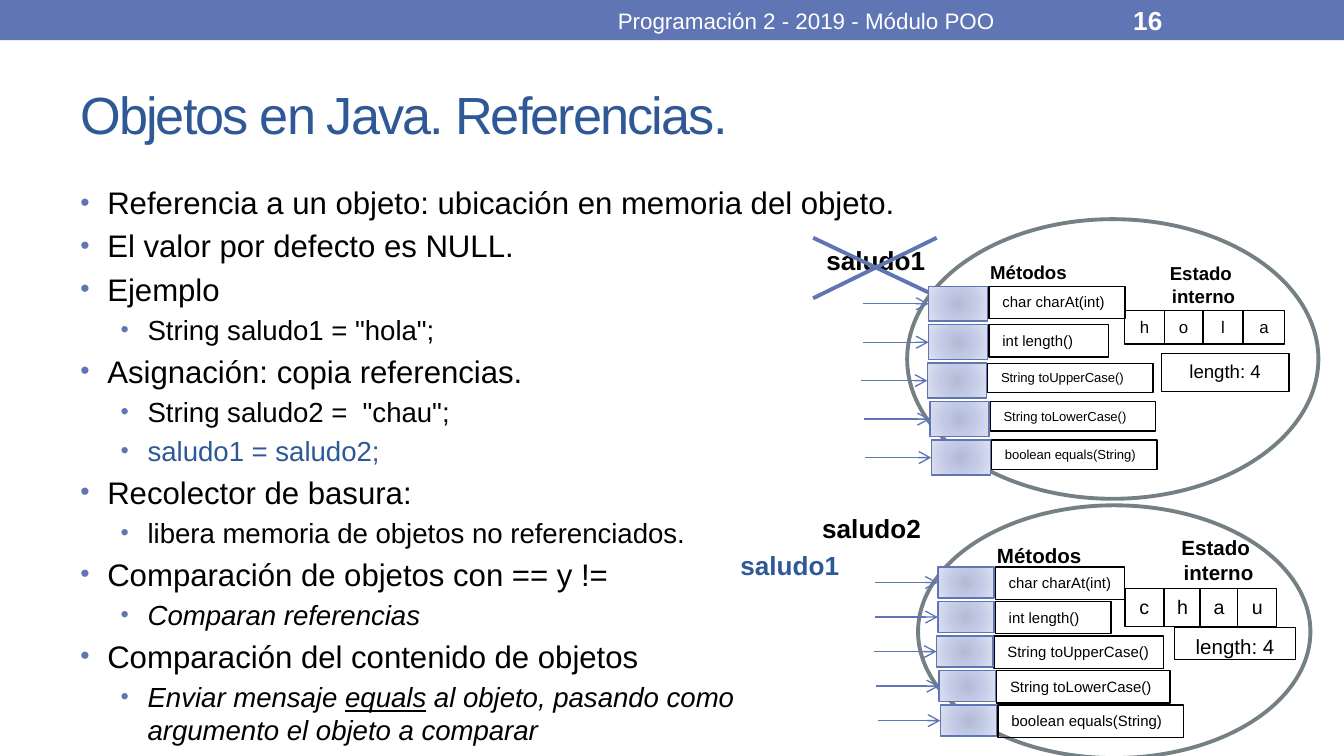
import pptx
import pptx.util
import pptx.dml.color
import pptx.enum.shapes
import pptx.enum.text
import pptx.oxml
import pptx.oxml.ns
import lxml.etree

Pt = pptx.util.Pt
RGB = pptx.dml.color.RGBColor.from_string
KIND = pptx.enum.shapes.MSO_SHAPE
ALIGN = pptx.enum.text.PP_ALIGN
ANCHOR = pptx.enum.text.MSO_ANCHOR
qn = pptx.oxml.ns.qn
NS = 'xmlns:a="http://schemas.openxmlformats.org/drawingml/2006/main"'
HUE = {"bar": "6076B4", "blue": "2F5897", "gray": "758085",
       "ink": "000000", "white": "FFFFFF"}
SHADE = [(0, "B4BAD4"), (45, "C2C9E5"), (100, "DDE1F1")]

deck = pptx.Presentation()
deck.slide_width, deck.slide_height = Pt(720), Pt(405)
slide = deck.slides.add_slide(deck.slide_layouts[6])
shapes = slide.shapes


def box(at, text="", size=8, hue="ink", bold=False, mid=False, center=False,
        kind=None, fill=None, edge=None, width=0.75):
    """Add a text box, or a shape when a kind is given."""
    at = [Pt(n) for n in at]
    if kind is None:
        item = shapes.add_textbox(*at)
    else:
        item = shapes.add_shape(kind, *at)
        item.shadow.inherit = False
        if fill:
            item.fill.solid()
            item.fill.fore_color.rgb = RGB(HUE[fill])
        else:
            item.fill.background()
        if edge:
            item.line.color.rgb = RGB(HUE[edge])
            item.line.width = Pt(width)
        else:
            item.line.fill.background()
    frame = item.text_frame
    frame.word_wrap = True
    frame.vertical_anchor = ANCHOR.MIDDLE if mid else ANCHOR.TOP
    if text:
        frame.text = text
    for para in frame.paragraphs:
        para.alignment = ALIGN.CENTER if center else ALIGN.LEFT
        font = para.font
        font.name, font.size, font.bold = "Arial", Pt(size), bold
        font.color.rgb = RGB(HUE[hue])
    return item


def line(x1, y1, x2, y2, width, arrow=False):
    """Add a straight line, with an open arrowhead if asked."""
    item = shapes.add_connector(pptx.enum.shapes.MSO_CONNECTOR.STRAIGHT,
                                Pt(x1), Pt(y1), Pt(x2), Pt(y2))
    item.line.color.rgb = RGB(HUE["bar"])
    item.line.width = Pt(width)
    if arrow:
        lxml.etree.SubElement(item.line._get_or_add_ln(), qn("a:tailEnd"), type="arrow")
    lxml.etree.SubElement(item._element.spPr, qn("a:effectLst"))


# Header band, page number and title
box((0, 0, 720, 21.6), kind=KIND.RECTANGLE, fill="bar")
box((600, 1.2, 84, 19.5), "16", 14, "white", bold=True, mid=True)
box((270, 1.2, 324, 19.5), "Programación 2 - 2019 - Módulo POO", 12, "white",
    mid=True, center=True)
title = box((36, 31.7, 648, 58.3), "Objetos en Java. Referencias.", 28, "blue", mid=True)
title.text_frame.paragraphs[0].runs[0]._r.get_or_add_rPr().set("spc", "-100")

# Bulleted text: level, words, colour, italic
points = [
    (0, "Referencia a un objeto: ubicación en memoria del objeto.", "ink", False),
    (0, "El valor por defecto es NULL.", "ink", False),
    (0, "Ejemplo", "ink", False),
    (1, 'String saludo1 = "hola";', "ink", False),
    (0, "Asignación: copia referencias.", "ink", False),
    (1, 'String saludo2 =  "chau";', "ink", False),
    (1, "saludo1 = saludo2;", "blue", False),
    (0, "Recolector de basura:", "ink", False),
    (1, "libera memoria de objetos no referenciados.", "ink", False),
    (0, "Comparación de objetos con == y !=", "ink", False),
    (1, "Comparan referencias", "ink", True),
    (0, "Comparación del contenido de objetos", "ink", False),
    (1, "Enviar mensaje ", "ink", True),
]
frame = box((36, 94.8, 670.3, 288)).text_frame
for n, (level, words, hue, slant) in enumerate(points):
    para = frame.add_paragraph() if n else frame.paragraphs[0]
    para.level = level
    para.space_before = Pt(3.1)
    font = para.font
    font.name, font.size, font.italic = "Arial", Pt((16.7, 14.8)[level]), slant
    font.color.rgb = RGB(HUE[hue])
    para.add_run().text = words
    props = para._p.get_or_add_pPr()
    props.set("marL", str(Pt((14.4, 36)[level])))
    props.set("indent", str(-Pt(14.4)))
    marks = (f'<a:buClr {NS}><a:srgbClr val="{HUE["bar"]}"/></a:buClr>',
             f'<a:buSzPct {NS} val="85000"/>',
             f'<a:buFont {NS} typeface="Arial"/>',
             f'<a:buChar {NS} char="•"/>')
    spot = props.find(qn("a:defRPr"))
    for mark in marks:
        spot.addprevious(pptx.oxml.parse_xml(mark))
key = para.add_run()
key.text = "equals"
key.font.underline = True
para.add_run().text = " al objeto, pasando como "
para.add_line_break()
para.add_run().text = "argumento el objeto a comparar"

# The two String objects, lower one first
names = ["char charAt(int)", "int length()", "String toUpperCase()",
         "String toLowerCase()", "boolean equals(String)"]
shifts = [0, 0, -0.7, 0.7, 1.4]
chau = dict(
    oval=(491.8, 270.7, 210.2, 135.4), word="chau",
    edges=[602.6, 623.5, 643, 663.1, 684], cell=(315.4, 20.2, 10.5),
    state=(596.2, 283, 110.2, 33.8), size=11, count=(629.3, 336.2, 64.8, 17.3),
    head=(527, 287.3, 100, 17.3), top=303.8, step=18.5, start=468.7,
    gate=(502.4, 30.2, 16.6), left=533.3, wide=[69.1, 61.9, 90.7, 92.9, 99.4],
    tall=[17.3] * 5, sizes=[8] * 5)
hola = dict(
    oval=(486, 117.4, 220.3, 149.8), word="hola",
    edges=[602.6, 623.8, 644.4, 666, 688.3], cell=(166.3, 18, 9),
    state=(591.1, 136.8, 104.4, 32.4), size=10, count=(622.1, 189.4, 68.4, 20.2),
    head=(523.4, 136.1, 104.4, 20.2), top=153.4, step=20.6, start=462.2,
    gate=(497.5, 31.7, 18.7), left=529.9, wide=[72.7, 64.1, 88.6, 88.6, 88.6],
    tall=[17.3, 17.3, 15.8, 15.8, 15.8], sizes=[8, 8, 7, 7, 7])
stops = "".join(f'<a:gs pos="{pos * 1000}"><a:srgbClr val="{hue}"/></a:gs>'
                for pos, hue in SHADE)
blend = (f'<a:gradFill {NS}><a:gsLst>{stops}</a:gsLst><a:path path="circle">'
         '<a:fillToRect l="50000" t="50000" r="50000" b="50000"/></a:path></a:gradFill>')

for obj in (chau, hola):
    if obj is hola:
        # Reference names and the crossed-out one, behind the upper object
        box((435.6, 127.4, 100, 24.5), "saludo1", 14, bold=True)
        box((433.4, 270.7, 100, 24.5), "saludo2", 14, bold=True)
        box((389.5, 290.9, 100, 24.5), "saludo1", 14, "blue", bold=True)
        line(435.6, 159.8, 501.8, 127.4, 2.08)
        line(435.6, 127.4, 504, 159.8, 2.08)

    # Outline and inner state
    box(obj["oval"], kind=KIND.OVAL, fill="white", edge="gray", width=2.08)
    y, high, size = obj["cell"]
    for char, x, end in zip(obj["word"], obj["edges"], obj["edges"][1:]):
        box((x, y, end - x, high), char, size, center=True,
            kind=KIND.RECTANGLE, edge="ink")
    box(obj["state"], "Estado\n interno", obj["size"], bold=True, center=True)
    box(obj["count"], "length: 4", obj["size"], center=True,
        kind=KIND.RECTANGLE, edge="ink")

    # Methods, each with its gate and arrow
    box(obj["head"], "Métodos", obj["size"], bold=True)
    gate, broad, high = obj["gate"]
    rows = zip(names, shifts, obj["wide"], obj["tall"], obj["sizes"])
    for n, (name, shift, wide, tall, size) in enumerate(rows):
        y = obj["top"] + n * obj["step"]
        box((obj["left"] + shift, y, wide, tall), name, size,
            kind=KIND.RECTANGLE, edge="ink")
        port = box((gate + shift, y, broad, high), kind=KIND.RECTANGLE, edge="bar")
        props = port._element.spPr
        props.replace(props.find(qn("a:noFill")), pptx.oxml.parse_xml(blend))
        line(obj["start"] + shift, y + high / 2, gate + shift, y + high / 2, 0.75, True)

deck.save("out.pptx")
